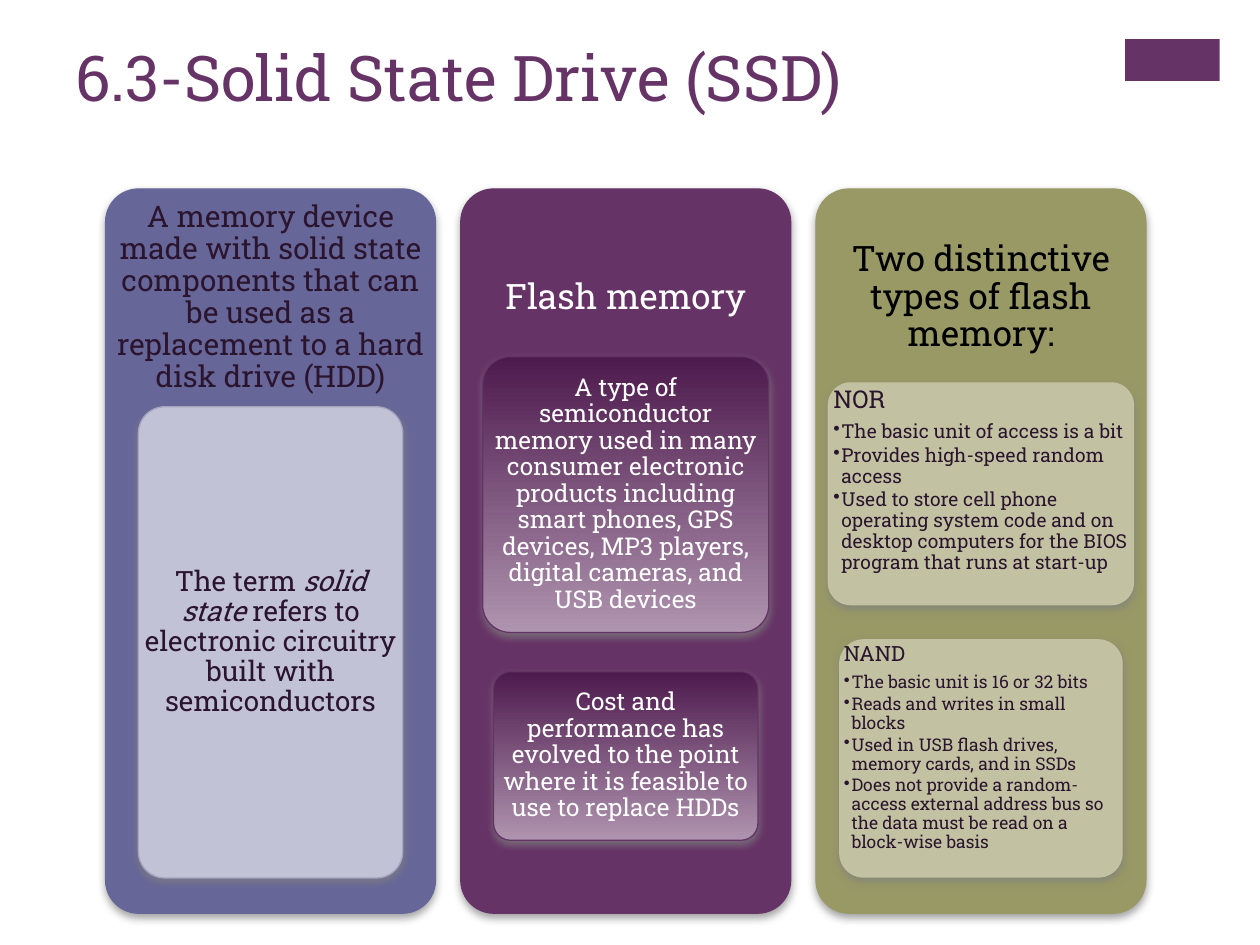
from lxml import etree
from pptx import Presentation
from pptx.dml.color import RGBColor
from pptx.enum.shapes import MSO_SHAPE
from pptx.enum.text import MSO_ANCHOR, PP_ALIGN
from pptx.oxml import parse_xml
from pptx.oxml.ns import nsdecls, qn
from pptx.util import Cm, Pt

RECT, ROUND = MSO_SHAPE.RECTANGLE, MSO_SHAPE.ROUNDED_RECTANGLE
TOP, MIDDLE = MSO_ANCHOR.TOP, MSO_ANCHOR.MIDDLE
LEFT, CENTER = PP_ALIGN.LEFT, PP_ALIGN.CENTER
FONT = "Roboto Slab"
PLUM, BLUE, OLIVE = "663366", "666699", "999966"
DARK, WHITE, BLACK = "2B142D", "FFFFFF", "000000"
FADE = ("4D1A4D", "AF94AF")
COL_X, COL_Y, COL_W, COL_H, STEP = 2.13, 3.81, 6.65, 14.6, 7.16
HEAD_H = 4.39
NOR = ["The basic unit of access is a bit",
       "Provides high-speed random access",
       "Used to store cell phone operating system code and on desktop "
       "computers for the BIOS program that runs at start-up"]
NAND = ["The basic unit is 16 or 32 bits",
        "Reads and writes in small blocks",
        "Used in USB flash drives, memory cards, and in SSDs",
        "Does not provide a random-access external address bus so the data "
        "must be read on a block-wise basis"]


def color(code):
    """Turn a hex string into a colour."""
    return RGBColor.from_string(code)


def block(slide, kind, box, fill):
    """Add a plain filled shape without line or shadow."""
    shape = slide.shapes.add_shape(kind, *map(Cm, box))
    shape.shadow.inherit = False
    shape.line.fill.background()
    shape.fill.solid()
    shape.fill.fore_color.rgb = color(fill)
    return shape


def card(slide, box, fill, line, fade=None):
    """Add a rounded card with a soft shadow and an optional fade."""
    shape = block(slide, ROUND, box, fill)
    shape.adjustments[0] = 0.1
    shape.line.color.rgb = color(line)
    shape.line.width = Pt(0.75)
    if fade:
        shape.fill.gradient()
        shape.fill.gradient_angle = 270
        for stop, code in zip(shape.fill.gradient_stops, fade):
            stop.color.rgb = color(code)
    effects = shape._element.spPr.find(qn("a:effectLst"))
    effects.append(parse_xml(
        f'<a:outerShdw {nsdecls("a")} blurRad="{Pt(5)}" dist="{Pt(2)}" '
        'dir="5400000" rotWithShape="0"><a:srgbClr val="808080">'
        '<a:alpha val="75000"/></a:srgbClr></a:outerShdw>'))


def frame(slide, box, pad, anchor):
    """Add an empty wrapping text box and return its frame."""
    text = slide.shapes.add_textbox(*map(Cm, box)).text_frame
    text.word_wrap = True
    text.vertical_anchor = anchor
    text.margin_left = text.margin_right = Cm(pad[0])
    text.margin_top = text.margin_bottom = Cm(pad[1])
    return text


def style(para, size, code, align, after):
    """Set the font and spacing of a paragraph."""
    para.font.name = FONT
    para.font.size = Pt(size)
    para.font.color.rgb = color(code)
    para.alignment = align
    para.line_spacing = 0.9
    para.space_after = Pt(round(size * after, 2))


def label(slide, box, parts, size, code, pad):
    """Add centred text whose every second part is italic."""
    para = frame(slide, box, pad, MIDDLE).paragraphs[0]
    style(para, size, code, CENTER, 0.35)
    for index, part in enumerate(parts):
        run = para.add_run()
        run.text = part
        if index % 2:
            run.font.italic = True


def points(slide, box, head, items, sizes, pad):
    """Add a heading with bullets below it."""
    text = frame(slide, box, pad, TOP)
    para = text.paragraphs[0]
    para.text = head
    style(para, sizes[0], DARK, LEFT, 0.35)
    for item in items:
        para = text.add_paragraph()
        para.text = item
        para.level = 1
        style(para, sizes[1], DARK, LEFT, 0.15)
        props = para._p.get_or_add_pPr()
        props.set("marL", str(Cm(0.16)))
        props.set("indent", str(Cm(-0.16)))
        etree.SubElement(props, qn("a:buChar")).set("char", "•")


def title(slide, words):
    """Add the slide title."""
    para = frame(slide, (1.27, 0.64, 20.98, 2.46), (0.25, 0.13), TOP).paragraphs[0]
    para.text = words
    para.font.name = FONT
    para.font.size = Pt(36)
    para.font.color.rgb = color(PLUM)


def column(slide, index, fill, head, size, code, pad):
    """Add a column with its heading."""
    left = COL_X + index * STEP
    card(slide, (left, COL_Y, COL_W, COL_H), fill, fill)
    label(slide, (left, COL_Y, COL_W, HEAD_H), [head], size, code, (pad, pad))


def inner(index, top, width, height):
    """Return a box centred across a column."""
    left = COL_X + index * STEP + (COL_W - width) / 2
    return left, top, width, height


def main():
    """Build the slide and save it."""
    deck = Presentation()
    deck.slide_width, deck.slide_height = Cm(25.4), Cm(19.05)
    slide = deck.slides.add_slide(deck.slide_layouts[6])
    block(slide, RECT, (22.68, 0.79, 1.91, 0.84), PLUM)
    title(slide, "6.3-Solid State Drive (SSD)")

    column(slide, 0, BLUE, "A memory device made with solid state components that "
           "can be used as a replacement to a hard disk drive (HDD)", 17, DARK, 0.18)
    box = inner(0, 8.2, 5.33, 9.5)
    card(slide, box, "C2C2D6", "A3A3C2")
    label(slide, box, ["The term ", "solid state ", "refers to electronic circuitry "
                       "built with semiconductors"], 16, DARK, (0.1, 0.08))

    column(slide, 1, PLUM, "Flash memory", 20, WHITE, 0.2)
    for box, words in (
        (inner(1, 7.19, 5.77, 5.56),
         "A type of semiconductor memory used in many consumer electronic products "
         "including smart phones, GPS devices, MP3 players, digital cameras, and "
         "USB devices"),
        (inner(1, 13.54, 5.33, 3.4),
         "Cost and performance has evolved to the point where it is feasible to "
         "use to replace HDDs"),
    ):
        card(slide, box, PLUM, PLUM, FADE)
        label(slide, box, [words], 14, WHITE, (0.1, 0.08))

    column(slide, 2, OLIVE, "Two distinctive types of flash memory:", 20, BLACK, 0.2)
    for box, head, items, sizes, pad in (
        (inner(2, 7.72, 6.15, 4.47), "NOR", NOR, (14, 11), (0.1, 0.08)),
        (inner(2, 12.9, 5.69, 4.78), "NAND", NAND, (12, 10), (0.08, 0.08)),
    ):
        card(slide, box, "C2C2A3", "C2C2A3")
        points(slide, box, head, items, sizes, pad)

    deck.save("out.pptx")


if __name__ == "__main__":
    main()
